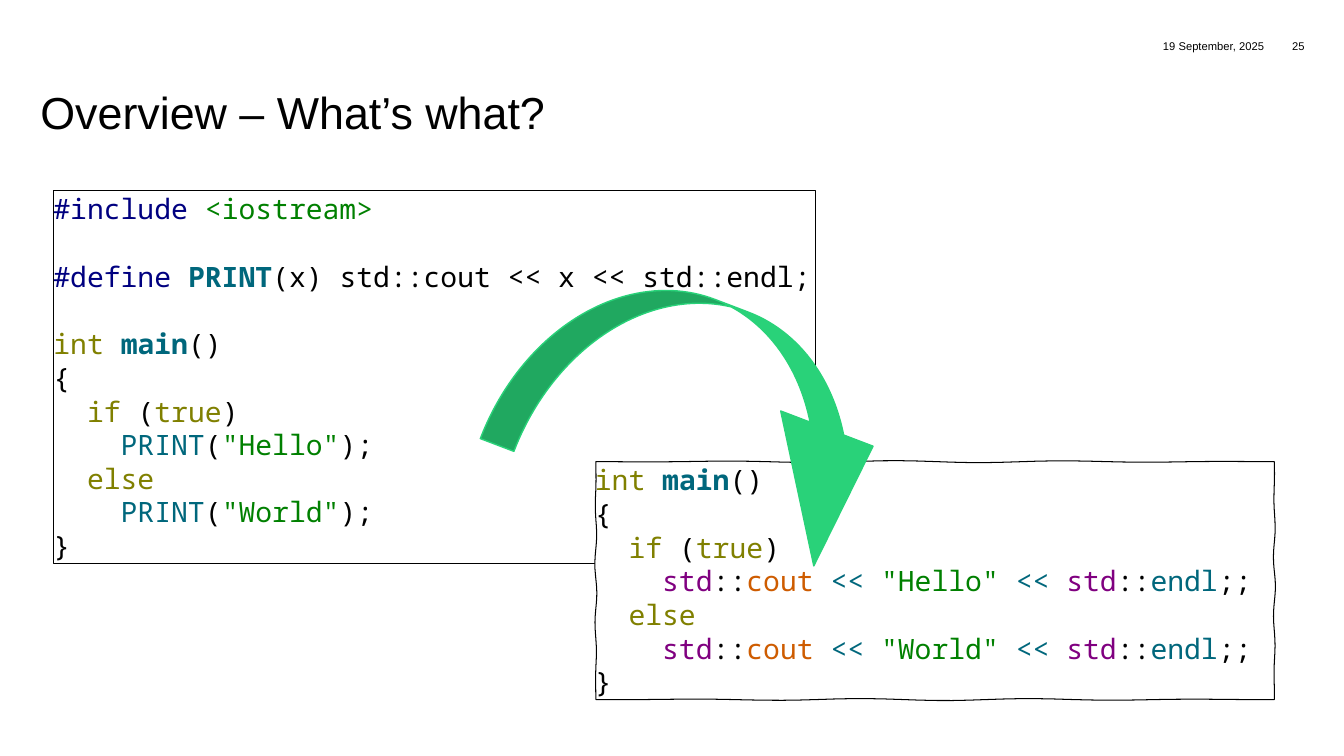
from dataclasses import dataclass
from math import sin

from pptx import Presentation
from pptx.dml.color import RGBColor
from pptx.enum.shapes import MSO_SHAPE
from pptx.enum.text import MSO_ANCHOR, PP_ALIGN
from pptx.util import Inches, Pt

RECTANGLE = MSO_SHAPE.RECTANGLE
CURVED_ARROW = MSO_SHAPE.CURVED_DOWN_ARROW
TOP, MIDDLE, BOTTOM = MSO_ANCHOR.TOP, MSO_ANCHOR.MIDDLE, MSO_ANCHOR.BOTTOM
LEFT, RIGHT = PP_ALIGN.LEFT, PP_ALIGN.RIGHT


@dataclass(frozen=True)
class Theme:
    font: str = "Arial"
    code_font: str = "Noto Sans Mono"
    title_size: float = 32
    code_size: float = 20
    code_gap: float = 24.2
    small_size: float = 8
    paper: str = "FFFFFF"
    plain: str = "000000"
    directive: str = "000080"
    string: str = "008000"
    name: str = "00677C"
    keyword: str = "808000"
    namespace: str = "800080"
    stream: str = "CE5C00"
    arrow: str = "29D279"


THEME = Theme()
PLAIN, DIRECTIVE, STRING = THEME.plain, THEME.directive, THEME.string
NAME, KEYWORD = THEME.name, THEME.keyword
NAMESPACE, STREAM = THEME.namespace, THEME.stream

# A code line is a list of (text, colour) or (text, colour, bold) tokens.
MAIN_LINE = [("int ", KEYWORD), ("main", NAME, True), ("()", PLAIN)]
OPEN_LINE = [("{", PLAIN)]
IF_LINE = [("  if ", KEYWORD), ("(", PLAIN), ("true", KEYWORD), (")", PLAIN)]
ELSE_LINE = [("  else", KEYWORD)]
CLOSE_LINE = [("}", PLAIN)]


def macro_call(word):
    return [("    PRINT", NAME), ("(", PLAIN), (f'"{word}"', STRING), (");", PLAIN)]


def expanded_call(word):
    return [
        ("    std", NAMESPACE), ("::", PLAIN), ("cout ", STREAM), ("<< ", NAME),
        (f'"{word}" ', STRING), ("<< ", NAME),
        ("std", NAMESPACE), ("::", PLAIN), ("endl", NAME), (";;", PLAIN),
    ]


def main_function(call):
    return [MAIN_LINE, OPEN_LINE, IF_LINE, call("Hello"),
            ELSE_LINE, call("World"), CLOSE_LINE]


SOURCE_CODE = [
    [("#include ", DIRECTIVE), ("<iostream>", STRING)],
    [("#define ", DIRECTIVE), ("PRINT", NAME, True),
     ("(x) std::cout << x << std::endl;", PLAIN)],
    *main_function(macro_call),
]
EXPANDED_CODE = main_function(expanded_call)


def rgb(value):
    return RGBColor.from_string(value)


def paint(sp, fill, line, width):
    sp.shadow.inherit = False
    sp.fill.solid()
    sp.fill.fore_color.rgb = rgb(fill)
    sp.line.color.rgb = rgb(line)
    sp.line.width = Pt(width)


def prepare_frame(sp, anchor, wrap=True):
    tf = sp.text_frame
    tf.margin_left = tf.margin_right = tf.margin_top = tf.margin_bottom = 0
    tf.vertical_anchor = anchor
    tf.word_wrap = wrap
    return tf


def add_run(p, text, font, size, color, bold=False):
    r = p.add_run()
    r.text = text
    r.font.name = font
    r.font.size = Pt(size)
    r.font.bold = bold
    r.font.color.rgb = rgb(color)


def add_label(s, box, text, size, align=LEFT, anchor=TOP, spacing=None):
    sp = s.shapes.add_textbox(*map(Inches, box))
    p = prepare_frame(sp, anchor).paragraphs[0]
    p.alignment = align
    p.line_spacing = spacing
    add_run(p, text, THEME.font, size, PLAIN)


def add_wavy_box(s, left, top, width, height):
    """Draw a rectangle whose sides waver like a hand-drawn line."""
    steps = 40
    corners = [(left, top), (left + width, top),
               (left + width, top + height), (left, top + height)]
    points = []
    for side, (x, y) in enumerate(corners):
        end_x, end_y = corners[(side + 1) % 4]
        for i in range(steps):
            t = i / steps
            wave = 0.01 * sin(25 * t + side) * sin(3.14 * t)
            dx, dy = (0, wave) if side % 2 == 0 else (wave, 0)
            points.append((Inches(x + (end_x - x) * t + dx),
                           Inches(y + (end_y - y) * t + dy)))
    builder = s.shapes.build_freeform(*points[0])
    builder.add_line_segments(points[1:], close=True)
    return builder.convert_to_shape()


def add_code(sp, lines, gap_before=(), wrap=True):
    """Fill a box with code; gap_before lists the lines set off by a gap."""
    paint(sp, THEME.paper, PLAIN, 0.75)
    tf = prepare_frame(sp, MIDDLE, wrap)
    for i, tokens in enumerate(lines):
        p = tf.add_paragraph() if i else tf.paragraphs[0]
        p.alignment = LEFT
        if i in gap_before:
            p.space_before = Pt(THEME.code_gap)
        for text, color, *bold in tokens:
            add_run(p, text, THEME.code_font, THEME.code_size, color, bool(bold))


def add_curved_arrow(s, box, rotation, adjustments):
    sp = s.shapes.add_shape(CURVED_ARROW, *map(Inches, box))
    for i, value in enumerate(adjustments):
        sp.adjustments[i] = value
    sp.rotation = rotation
    paint(sp, THEME.arrow, THEME.arrow, 1)


def main():
    prs = Presentation()
    prs.slide_width, prs.slide_height = Inches(13.33), Inches(7.5)
    s = prs.slides.add_slide(prs.slide_layouts[6])

    add_label(s, (0.4, 0.74, 12.55, 0.63), "Overview – What’s what?",
              THEME.title_size, anchor=BOTTOM, spacing=0.83)
    add_label(s, (11.18, 0.39, 1.36, 0.21), "19 September, 2025",
              THEME.small_size, RIGHT)
    add_label(s, (12.54, 0.39, 0.4, 0.21), "25", THEME.small_size, RIGHT)

    source = s.shapes.add_shape(RECTANGLE, *map(Inches, (0.53, 1.89, 7.56, 3.7)))
    add_code(source, SOURCE_CODE, gap_before=(1, 2))
    add_code(add_wavy_box(s, 5.91, 4.58, 6.73, 2.36), EXPANDED_CODE, wrap=False)
    add_curved_arrow(s, (5.01, 3.02, 4.03, 2.12), 20.9, (0.168, 0.462, 0.622))

    prs.save("out.pptx")


if __name__ == "__main__":
    main()
